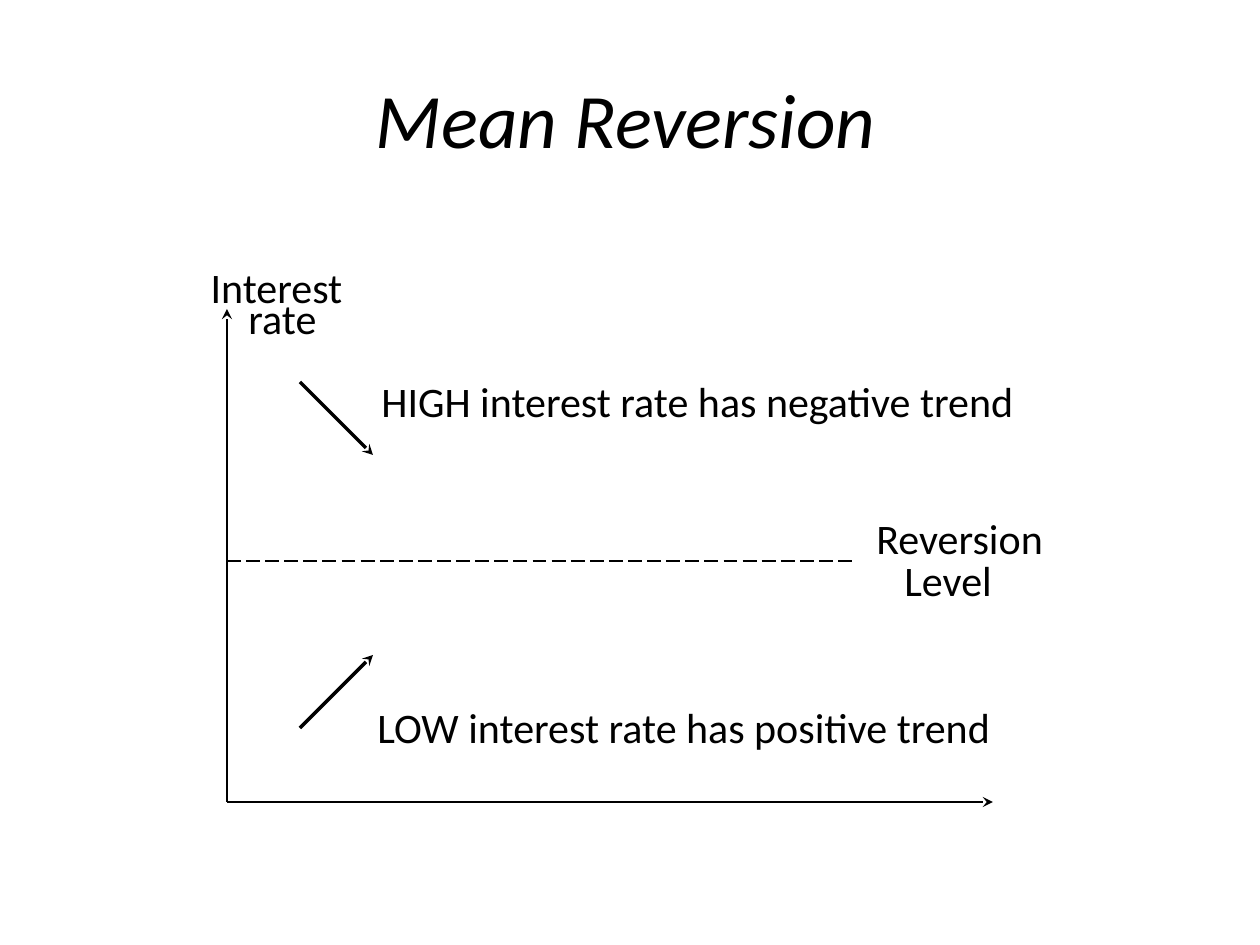
from lxml import etree
from pptx import Presentation
from pptx import util as u
from pptx.dml.color import RGBColor
from pptx.enum import dml, shapes, text
from pptx.oxml.ns import qn

PX = u.Inches(1) / 126
BLACK = RGBColor(0, 0, 0)
WHITE = RGBColor(255, 255, 255)


def px(*lengths):
    """Turn pixel lengths into EMU."""
    return [u.Emu(round(n * PX)) for n in lengths]


def write(tf, words, align, **font):
    tf.text = words
    p = tf.paragraphs[0]
    p.alignment = align
    r = p.runs[0]
    r.font.color.rgb = BLACK
    for name, value in font.items():
        setattr(r.font, name, value)


prs = Presentation()
prs.slide_width, prs.slide_height = px(1260, 945)
s = prs.slides.add_slide(prs.slide_layouts[5])
s.background.fill.solid()
s.background.fill.fore_color.rgb = WHITE

title = s.shapes.title
title.left, title.top, title.width, title.height = px(59, 39, 1134, 158)
title.text_frame.vertical_anchor = text.MSO_ANCHOR.MIDDLE
write(title.text_frame, "Mean Reversion", text.PP_ALIGN.CENTER,
      name="Calibri", size=u.Pt(44), italic=True)

# Axes, reversion level and trend arrows: ends, width in points, arrowhead
AXIS_X, AXIS_Y, LEVEL_Y = 227, 802, 561
TREND_X, TREND_SIZE = 300, 73
trend_end = TREND_X + TREND_SIZE
lines = [
    ((AXIS_X, AXIS_Y, 993, AXIS_Y), 1, True),
    ((AXIS_X, AXIS_Y, AXIS_X, 309), 1, True),
    ((AXIS_X, LEVEL_Y, 857, LEVEL_Y), 1, False),
    ((TREND_X, 728, trend_end, 728 - TREND_SIZE), 2, True),
    ((TREND_X, 382, trend_end, 382 + TREND_SIZE), 2, True),
]
for ends, width, arrow in lines:
    sp = s.shapes.add_connector(shapes.MSO_CONNECTOR.STRAIGHT, *px(*ends))
    sp.line.color.rgb = BLACK
    sp.line.width = u.Pt(width)
    if arrow:
        etree.SubElement(sp.line._get_or_add_ln(), qn("a:tailEnd"), type="stealth")
    else:
        sp.line.dash_style = dml.MSO_LINE.LONG_DASH
    etree.SubElement(sp._element.spPr, qn("a:effectLst"))

LEFT, CENTER = text.PP_ALIGN.LEFT, text.PP_ALIGN.CENTER
labels = [
    ("Interest", 197, 255, 159, CENTER),
    ("rate", 236, 286, 96, LEFT),
    ("HIGH interest rate has negative trend", 369, 369, 663, LEFT),
    ("LOW interest rate has positive trend", 365, 695, 644, LEFT),
    ("Reversion", 864, 506, 194, LEFT),
    ("Level", 892, 548, 113, LEFT),
]
for words, x, y, width, align in labels:
    tf = s.shapes.add_textbox(*px(x, y, width, 63)).text_frame
    tf.word_wrap = False
    tf.auto_size = text.MSO_AUTO_SIZE.SHAPE_TO_FIT_TEXT
    write(tf, words, align, name="Calibri", size=u.Pt(24))

prs.save("out.pptx")
